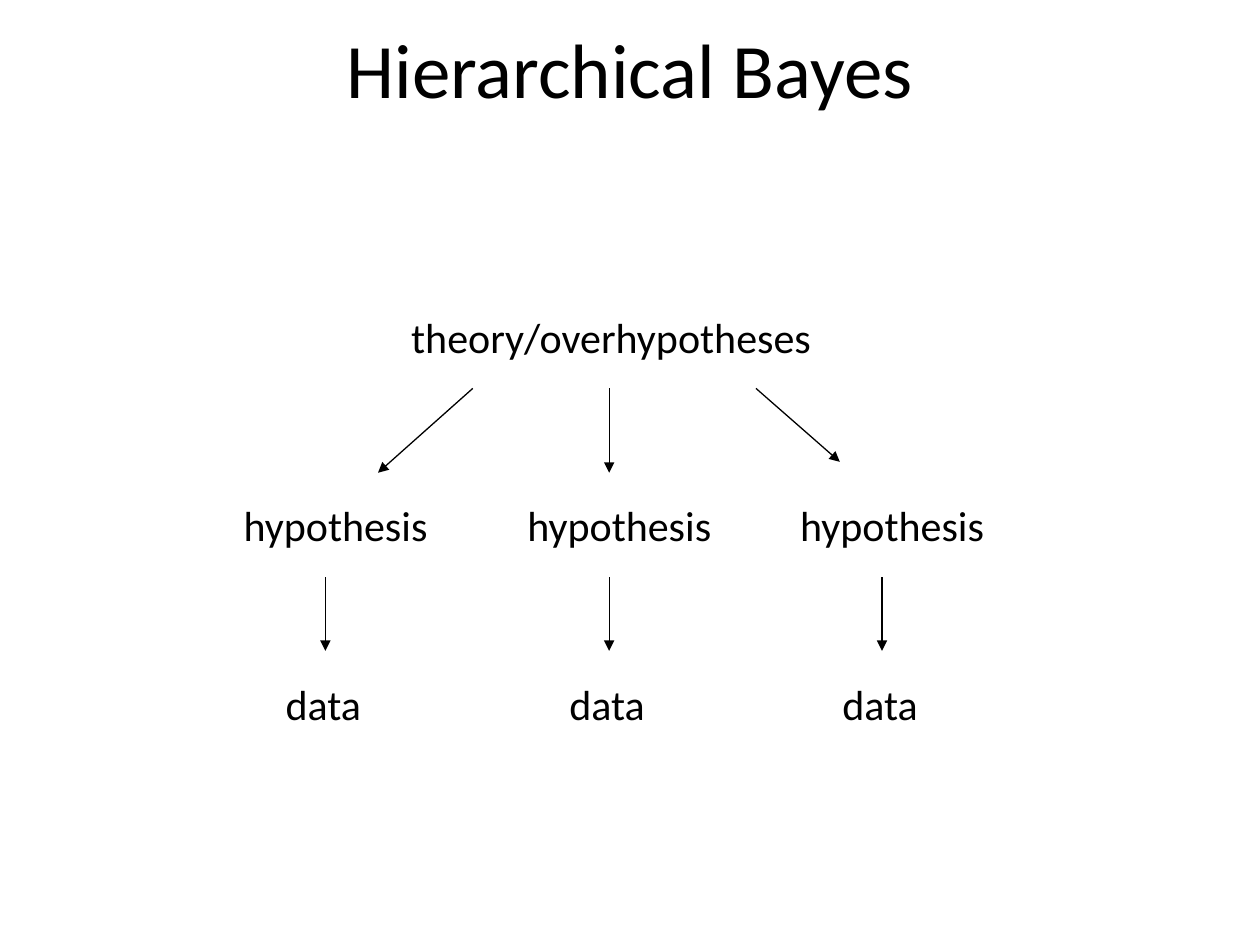
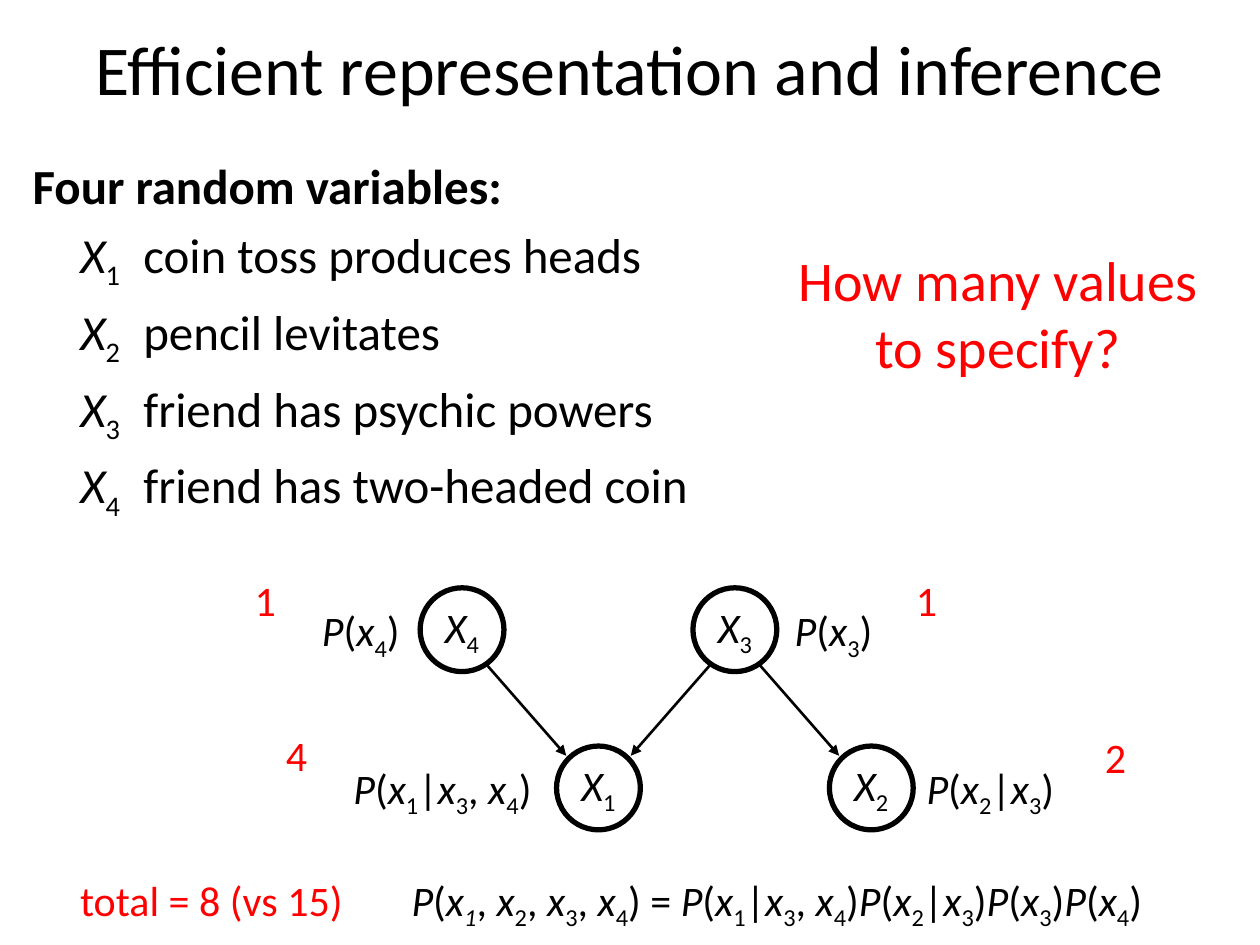
import dataclasses
import itertools
import typing

import lxml.etree
import pptx
import pptx.dml.color
import pptx.enum.shapes
import pptx.enum.text
import pptx.oxml.ns
import pptx.slide
import pptx.text.text
import pptx.util

Cm = pptx.util.Cm
Pt = pptx.util.Pt
Align = pptx.enum.text.PP_ALIGN
Anchor = pptx.enum.text.MSO_ANCHOR

FONT = "Calibri"
BLACK, WHITE, RED = "000000", "FFFFFF", "FF0000"
LINE_H = 1.27  # height of a one-line label, cm
NODE_W = 1.69


class Spot(typing.NamedTuple):
    x: float
    y: float


@dataclasses.dataclass
class Label:
    text: str
    x: float
    y: float
    w: float
    hue: str = BLACK


@dataclasses.dataclass
class Node:
    text: str
    col: int
    row: int

    @property
    def left(self) -> float:
        return 8.47 + 2.75 * self.col

    @property
    def top(self) -> float:
        return 11.85 + 3.19 * self.row

    @property
    def mid(self) -> Spot:
        return Spot(self.left + NODE_W / 2, self.top + NODE_W / 2)


def paint(code: str) -> pptx.dml.color.RGBColor:
    return pptx.dml.color.RGBColor.from_string(code)


def marks(text: str, slant: str) -> typing.Iterator[tuple[str, bool, bool]]:
    """Yield (sign, italic, subscript): _ lowers the next sign, ~ lowers and slants it."""
    lead = ""
    for sign in text:
        if sign in "_~":
            lead = sign
            continue
        yield sign, sign in slant or lead == "~", bool(lead)
        lead = ""


def write(frame: pptx.text.text.TextFrame, text: str, *, size: float = 24,
          hue: str = BLACK, bold: bool = False, slant: str = "", align=Align.LEFT,
          anchor=Anchor.TOP, wrap: bool = True, inset: bool = True,
          more: bool = False, space: float = 0, margin: float = 0,
          hang: float = 0) -> None:
    """Write one paragraph; letters in slant are italic, more adds to earlier text."""
    frame.word_wrap = wrap
    frame.vertical_anchor = anchor
    if not inset:
        frame.margin_left = frame.margin_right = 0
        frame.margin_top = frame.margin_bottom = 0
    para = frame.add_paragraph() if more else frame.paragraphs[0]
    para.alignment = align
    if space:
        para.space_before = Pt(space)
    if margin:
        props = para._p.get_or_add_pPr()
        props.set("marL", str(Cm(margin)))
        props.set("indent", str(Cm(-hang)))
    for (tilt, low), group in itertools.groupby(marks(text, slant), lambda m: m[1:]):
        run = para.add_run()
        run.text = "".join(sign for sign, *_ in group)
        font = run.font
        font.name, font.size, font.bold, font.italic = FONT, Pt(size), bold, tilt
        font.color.rgb = paint(hue)
        if low:
            run._r.get_or_add_rPr().set("baseline", "-25000")


def box(slide: pptx.slide.Slide, x: float, y: float, w: float,
        h: float = LINE_H) -> pptx.text.text.TextFrame:
    return slide.shapes.add_textbox(Cm(x), Cm(y), Cm(w), Cm(h)).text_frame


def title(slide: pptx.slide.Slide, text: str, y: float, h: float, size: float) -> None:
    write(box(slide, 0, y, 25.4, h), text, size=size, align=Align.CENTER,
          anchor=Anchor.MIDDLE, inset=False)


def arrow(slide: pptx.slide.Slide, start: Spot, end: Spot, width: float) -> None:
    link = slide.shapes.add_connector(
        pptx.enum.shapes.MSO_CONNECTOR.STRAIGHT,
        Cm(start.x), Cm(start.y), Cm(end.x), Cm(end.y))
    link.line.color.rgb = paint(BLACK)
    link.line.width = Pt(width)
    props = link._element.spPr
    qn = pptx.oxml.ns.qn
    lxml.etree.SubElement(props.find(qn("a:ln")), qn("a:tailEnd"), type="triangle")
    lxml.etree.SubElement(props, qn("a:effectLst"))


def edge(slide: pptx.slide.Slide, cause: Node, child: Node) -> None:
    """Draw an arrow from the lower rim of cause to the upper rim of child."""
    side = 1 if child.col > cause.col else -1
    arrow(slide, Spot(cause.mid.x + side * 0.42, cause.mid.y + 0.62),
          Spot(child.mid.x - side * 0.65, child.mid.y - 0.65), 1.5)


def disc(slide: pptx.slide.Slide, node: Node) -> None:
    shape = slide.shapes.add_shape(
        pptx.enum.shapes.MSO_SHAPE.OVAL,
        Cm(node.left), Cm(node.top), Cm(NODE_W), Cm(NODE_W))
    shape.shadow.inherit = False
    shape.fill.solid()
    shape.fill.fore_color.rgb = paint(WHITE)
    shape.line.color.rgb = paint(BLACK)
    shape.line.width = Pt(3)
    write(shape.text_frame, node.text, slant="X", align=Align.CENTER,
          anchor=Anchor.MIDDLE, wrap=False, inset=False)


def draw_tree(slide: pptx.slide.Slide) -> None:
    title(slide, "Hierarchical Bayes", -0.23, 3.18, 44)
    write(box(slide, 8.04, 6.15, 11.43), "theory/overhypotheses")
    fan = [(9.53, 7.62, 9.53), (12.28, 12.28, 9.53), (15.24, 16.93, 9.31)]
    for axis, (start, end, low) in zip((6.56, 12.28, 17.78), fan):
        arrow(slide, Spot(start, 7.83), Spot(end, low), 0.75)
        write(box(slide, axis - 1.9, 9.95, 4.87), "hypothesis")
        arrow(slide, Spot(axis, 11.64), Spot(axis, 13.12), 0.75)
        write(box(slide, axis - 1.05, 13.55, 3.35), "data")


def draw_net(slide: pptx.slide.Slide) -> None:
    coin, levi, mind, trick = nodes = [
        Node("X_1", 1, 1), Node("X_2", 3, 1), Node("X_3", 2, 0), Node("X_4", 0, 0)]
    for cause, child in ((trick, coin), (mind, levi), (mind, coin)):
        edge(slide, cause, child)
    for node in nodes:
        disc(slide, node)

    title(slide, "Efficient representation and inference", 0.33, 2.08, 40)
    body = box(slide, 0.41, 3.02, 16.59, 9.14)
    write(body, "Four random variables:", size=28, bold=True)
    events = ("coin toss produces heads", "pencil levitates",
              "friend has psychic powers", "friend has two-headed coin")
    for rank, event in enumerate(events, 1):
        write(body, f"X_{rank}\t{event}", size=28, slant="X", more=True,
              space=5.6, margin=2.23, hang=1.27)

    labels = [
        Label("P(x_4)", 6.17, 12.07, 2.21),
        Label("P(x_3)", 15.7, 12.07, 2.21),
        Label("P(x_2|x_3)", 18.34, 15.24, 3.25),
        Label("P(x_1|x_3, x_4)", 6.76, 15.24, 4.32),
        Label("P(x~1, x_2, x_3, x_4) = P(x_1|x_3, x_4)P(x_2|x_3)P(x_3)P(x_4)",
              6.35, 17.5, 18.62),
        Label("1", 4.88, 11.46, 0.94, RED),
        Label("1", 18.21, 11.46, 0.94, RED),
        Label("2", 22.02, 14.63, 0.94, RED),
        Label("4", 5.51, 14.58, 0.94, RED),
        Label("total = 8 (vs 15)", 1.3, 17.5, 5.92, RED),
    ]
    for item in labels:
        write(box(slide, item.x, item.y, item.w), item.text, hue=item.hue,
              slant="Px", align=Align.CENTER, wrap=False)
    write(box(slide, 15.7, 4.83, 8.84, 3), "How many values to specify?",
          size=32, hue=RED, align=Align.CENTER)


def main() -> None:
    deck = pptx.Presentation()
    deck.slide_width, deck.slide_height = Cm(25.4), Cm(19.05)
    blank = deck.slide_layouts[6]
    for draw in (draw_tree, draw_net):
        draw(deck.slides.add_slide(blank))
    deck.save("out.pptx")


if __name__ == "__main__":
    main()
